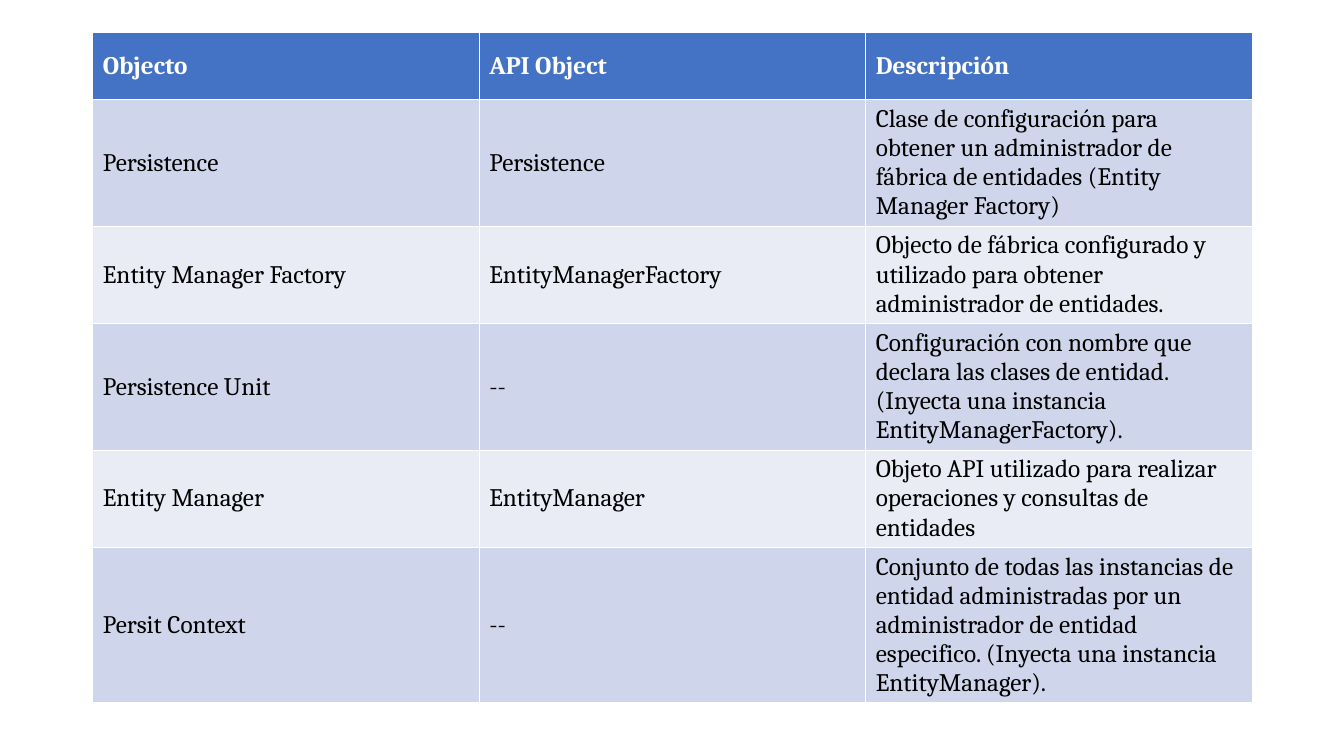
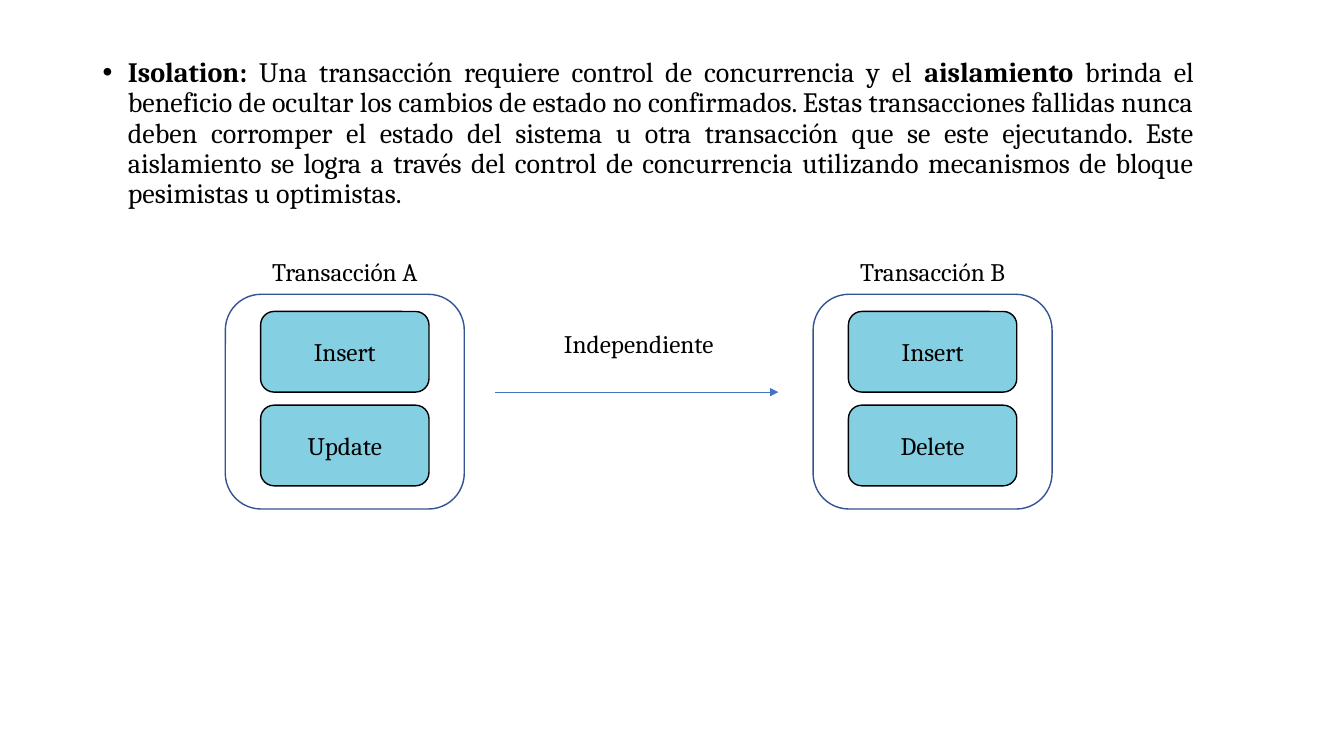
from lxml.etree import SubElement
from pptx import Presentation
from pptx.dml.color import RGBColor
from pptx.enum.shapes import MSO_CONNECTOR, MSO_SHAPE
from pptx.enum.text import MSO_ANCHOR, PP_ALIGN
from pptx.oxml.ns import qn
from pptx.util import Inches, Pt

FACE = "Cambria"
WHITE = RGBColor(0xFF, 0xFF, 0xFF)
BLACK = RGBColor(0, 0, 0)
BLUE = RGBColor(0x44, 0x72, 0xC4)
NAVY = RGBColor(0x32, 0x54, 0x91)
AQUA = RGBColor(0x84, 0xCF, 0xE1)
BANDS = (RGBColor(0xE9, 0xEB, 0xF5), RGBColor(0xCF, 0xD5, 0xEA))

ROWS = [
    ("Objecto", "API Object", "Descripción"),
    ("Persistence", "Persistence",
     "Clase de configuración para obtener un administrador de fábrica de "
     "entidades (Entity Manager Factory)"),
    ("Entity Manager Factory", "EntityManagerFactory",
     "Objecto de fábrica configurado y utilizado para obtener "
     "administrador de entidades."),
    ("Persistence Unit", "--",
     "Configuración con nombre que declara las clases de entidad. "
     "(Inyecta una instancia EntityManagerFactory)."),
    ("Entity Manager", "EntityManager",
     "Objeto API utilizado para realizar operaciones y consultas de entidades"),
    ("Persit Context", "--",
     "Conjunto de todas las instancias de entidad administradas por un "
     "administrador de entidad especifico. (Inyecta una instancia "
     "EntityManager)."),
]

BODY = [
    ("Isolation: ", True),
    ("Una transacción requiere control de concurrencia y el ", False),
    ("aislamiento", True),
    (" brinda el beneficio de ocultar los cambios de estado no confirmados. "
     "Estas transacciones fallidas nunca deben corromper el estado del sistema "
     "u otra transacción que se este ejecutando. Este aislamiento se logra a "
     "través del control de concurrencia utilizando mecanismos de bloque "
     "pesimistas u optimistas.", False),
]

GROUPS = [
    ("Transacción A", 3.42, ("Insert", "Update")),
    ("Transacción B", 9.25, ("Insert", "Delete")),
]
LINK = "Independiente"


def style(para, size=18, color=BLACK, bold=False):
    para.font.name = FACE
    para.font.size = Pt(size)
    para.font.color.rgb = color
    para.font.bold = bold


def add_grid(slide):
    high = 0.67
    frame = slide.shapes.add_table(
        len(ROWS), len(ROWS[0]), Inches(0.92), Inches(0.32),
        Inches(11.5), Inches(high * len(ROWS)))
    for r, row in enumerate(ROWS):
        head = r == 0
        for c, text in enumerate(row):
            cell = frame.table.cell(r, c)
            cell.text = text
            cell.fill.solid()
            cell.fill.fore_color.rgb = BLUE if head else BANDS[r % 2]
            if head or c < 2:
                cell.vertical_anchor = MSO_ANCHOR.MIDDLE
            style(cell.text_frame.paragraphs[0],
                  color=WHITE if head else BLACK, bold=head)


def add_body(slide):
    box = slide.shapes.add_textbox(
        Inches(0.92), Inches(0.53), Inches(11.02), Inches(6.32))
    box.text_frame.word_wrap = True
    para = box.text_frame.paragraphs[0]
    para.alignment = PP_ALIGN.JUSTIFY
    para.line_spacing = 0.9
    para.space_before = Pt(10)
    style(para, 20)
    for text, bold in BODY:
        run = para.add_run()
        run.text = text
        run.font.bold = bold
    props = para._p.get_or_add_pPr()
    props.set("marL", str(Inches(0.25)))
    props.set("indent", str(-Inches(0.25)))
    font = SubElement(props, qn("a:buFont"), typeface="Arial")
    mark = SubElement(props, qn("a:buChar"), char="•")
    props.find(qn("a:defRPr")).addprevious(font)
    font.addnext(mark)


def add_label(slide, text, mid, top):
    wide = 2.09
    box = slide.shapes.add_textbox(
        Inches(mid - wide / 2), Inches(top), Inches(wide), Inches(0.4))
    box.text_frame.word_wrap = True
    para = box.text_frame.paragraphs[0]
    para.text = text
    para.alignment = PP_ALIGN.CENTER
    style(para)


def add_box(slide, mid, top, wide, high, line, fill=None, text=""):
    box = slide.shapes.add_shape(
        MSO_SHAPE.ROUNDED_RECTANGLE, Inches(mid - wide / 2), Inches(top),
        Inches(wide), Inches(high))
    box.shadow.inherit = False
    box.line.color.rgb = line
    box.line.width = Pt(1)
    if fill is None:
        box.fill.background()
    else:
        box.fill.solid()
        box.fill.fore_color.rgb = fill
    if text:
        box.text_frame.vertical_anchor = MSO_ANCHOR.MIDDLE
        para = box.text_frame.paragraphs[0]
        para.text = text
        para.alignment = PP_ALIGN.CENTER
        style(para)


def add_group(slide, title, mid, steps):
    for i, step in enumerate(steps):
        add_box(slide, mid, 3.09 + 0.93 * i, 1.67, 0.8, BLACK, AQUA, step)
    add_box(slide, mid, 2.92, 2.37, 2.13, NAVY)
    add_label(slide, title, mid, 2.49)


def add_arrow(slide):
    arrow = slide.shapes.add_connector(
        MSO_CONNECTOR.STRAIGHT, Inches(4.91), Inches(3.89),
        Inches(7.72), Inches(3.89))
    arrow.line.color.rgb = BLUE
    arrow.line.width = Pt(0.5)
    SubElement(arrow.line._get_or_add_ln(), qn("a:tailEnd"), type="triangle")
    SubElement(arrow._element.spPr, qn("a:effectLst"))


def main():
    deck = Presentation()
    deck.slide_width = Inches(13.33)
    deck.slide_height = Inches(7.5)
    blank = deck.slide_layouts[6]

    add_grid(deck.slides.add_slide(blank))

    slide = deck.slides.add_slide(blank)
    add_body(slide)
    for title, mid, steps in GROUPS:
        add_group(slide, title, mid, steps)
    add_arrow(slide)
    add_label(slide, LINK, (GROUPS[0][1] + GROUPS[1][1]) / 2, 3.21)

    deck.save("out.pptx")


if __name__ == "__main__":
    main()
